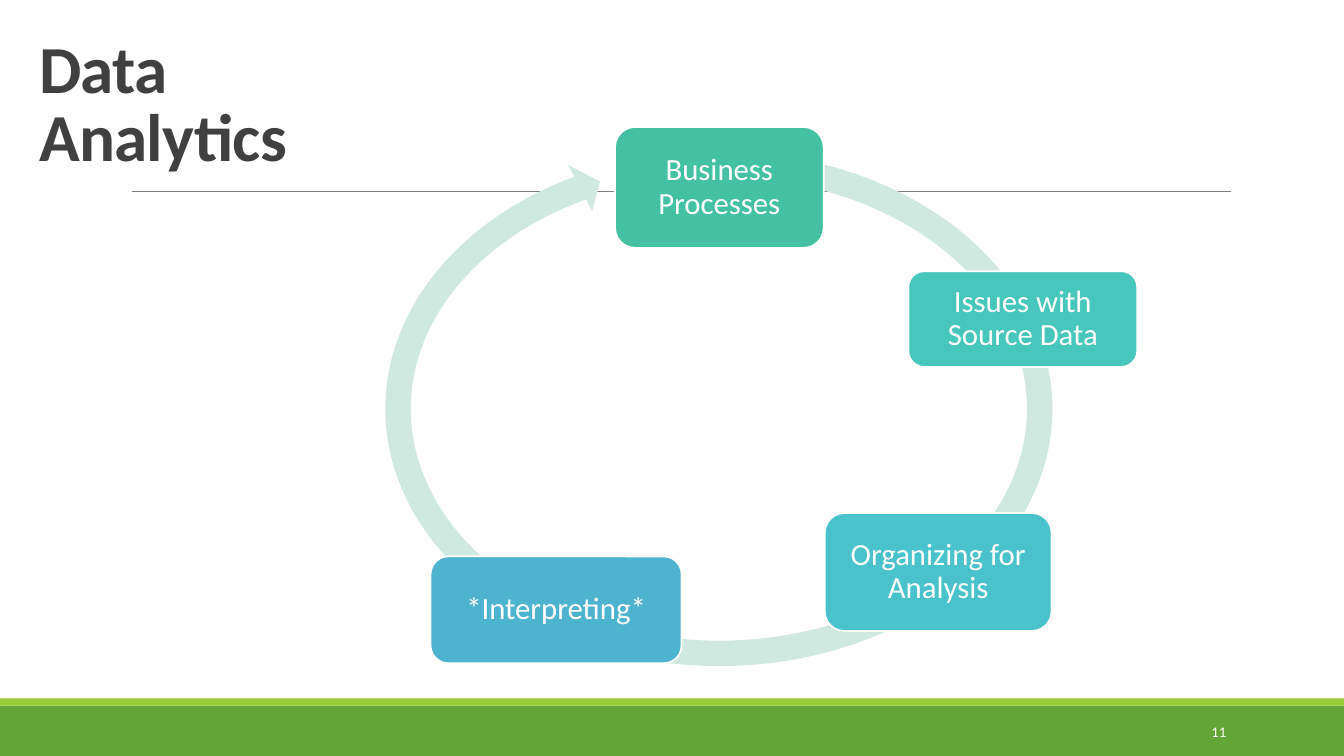
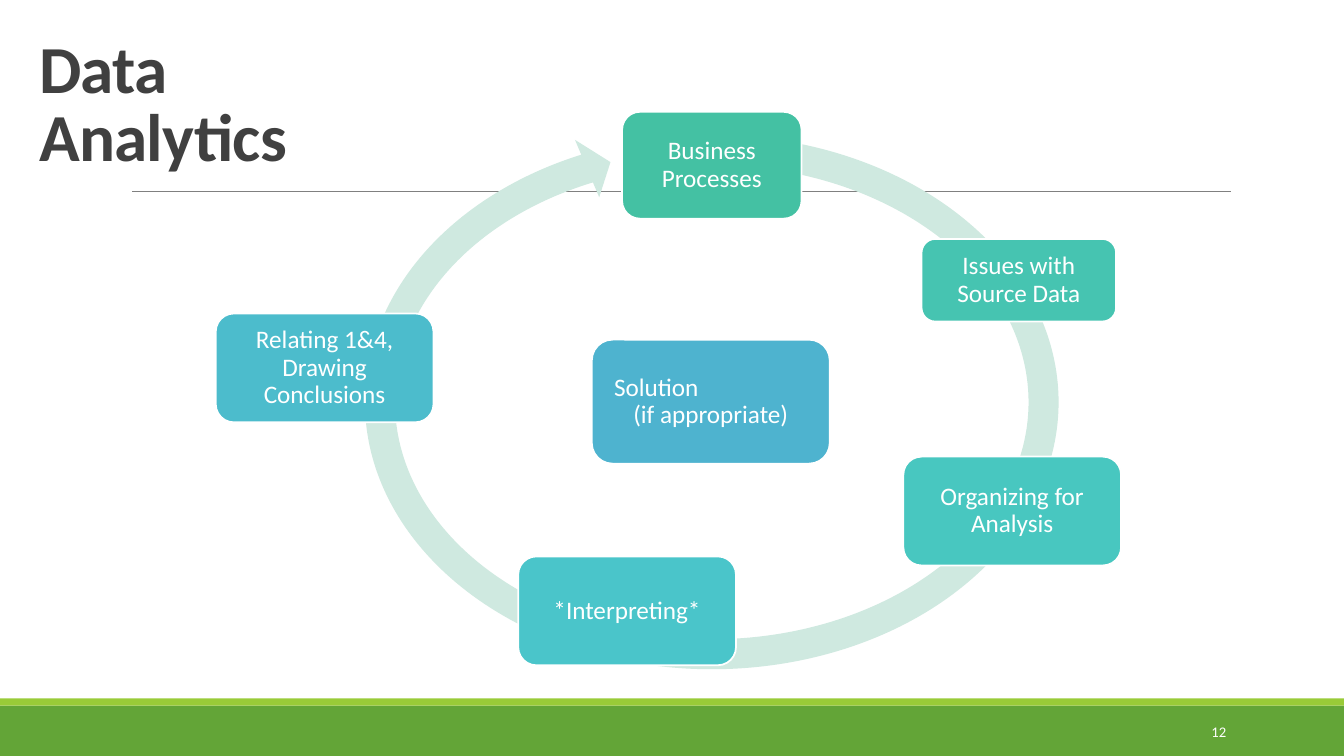
from pptx import Presentation
from pptx.dml.color import RGBColor
from pptx.enum.shapes import MSO_CONNECTOR, MSO_SHAPE
from pptx.enum.text import MSO_ANCHOR, PP_ALIGN
from pptx.oxml.ns import qn
from pptx.util import Inches, Pt

RECTANGLE = MSO_SHAPE.RECTANGLE
ROUNDED = MSO_SHAPE.ROUNDED_RECTANGLE
CIRCULAR_ARROW = MSO_SHAPE.CIRCULAR_ARROW
STRAIGHT = MSO_CONNECTOR.STRAIGHT
LEFT, CENTER, RIGHT = PP_ALIGN.LEFT, PP_ALIGN.CENTER, PP_ALIGN.RIGHT
MIDDLE, BOTTOM = MSO_ANCHOR.MIDDLE, MSO_ANCHOR.BOTTOM

FONT = "Calibri"
COLORS = {
    "white": "FFFFFF",
    "title": "404040",
    "rule": "808080",
    "footer": "63A537",
    "footer_edge": "99CB38",
    "ring": "CFE9E0",
}
FIRST_NUMBER = 11

# Each step: text, (left, top, width, height), fill
CYCLES = [
    {
        "ring": (3.69, 1.37, 6.88, 5.37),
        "ring_shape": (0.047, 2.729, 142.707, 171.254, 0.048),
        "size": 22,
        "inset": 0.09,
        "steps": [
            ("Business Processes", (6.1, 1.26, 2.07, 1.2), "44C1A3"),
            ("Issues with Source Data", (9.01, 2.69, 2.27, 0.95), "47C6BB"),
            ("Organizing for Analysis", (8.18, 5.09, 2.25, 1.17), "4AC2CB"),
            ("*Interpreting*", (4.27, 5.52, 2.49, 1.06), "4EB3CF"),
        ],
    },
    {
        "ring": (3.46, 1.18, 7.2, 5.62),
        "ring_shape": (0.053, 3.126, 145.153, 169.608, 0.055),
        "size": 18,
        "inset": 0.07,
        "steps": [
            ("Business Processes", (6.17, 1.11, 1.78, 1.06), "44C1A3"),
            ("Issues with Source Data", (9.14, 2.37, 1.93, 0.82), "46C4B1"),
            ("Organizing for Analysis", (8.96, 4.53, 2.16, 1.08), "48C7C0"),
            ("*Interpreting*", (5.14, 5.52, 2.16, 1.08), "4AC5CA"),
            ("Relating 1&4, Drawing Conclusions", (2.14, 3.11, 2.16, 1.08), "4CBCCC"),
            ("Solution\n(if appropriate)", (5.87, 3.37, 2.36, 1.23), "4EB3CF"),
        ],
    },
]


def add_filled(page, kind, place, fill):
    shape = page.shapes.add_shape(kind, *map(Inches, place))
    shape.shadow.inherit = False
    shape.fill.solid()
    shape.fill.fore_color.rgb = RGBColor.from_string(fill)
    shape.line.fill.background()
    return shape


def write(shape, text, size, color, align, anchor, spacing=1.0):
    frame = shape.text_frame
    frame.word_wrap = True
    frame.vertical_anchor = anchor
    frame.text = text
    for para in frame.paragraphs:
        para.alignment = align
        para.line_spacing = spacing
        for span in para.runs:
            span.font.name = FONT
            span.font.size = Pt(size)
            span.font.color.rgb = RGBColor.from_string(color)
    return frame


deck = Presentation()
deck.slide_width, deck.slide_height = Inches(13.33), Inches(7.5)
blank = deck.slide_layouts[6]

for number, cycle in enumerate(CYCLES, FIRST_NUMBER):
    page = deck.slides.add_slide(blank)

    # Frame shared by all slides
    add_filled(page, RECTANGLE, (0, 7, 13.33, 0.5), COLORS["footer"])
    add_filled(page, RECTANGLE, (0, 6.93, 13.33, 0.07), COLORS["footer_edge"])
    rule = page.shapes.add_connector(
        STRAIGHT, Inches(1.31), Inches(1.9), Inches(12.21), Inches(1.9))
    rule.line.color.rgb = RGBColor.from_string(COLORS["rule"])
    rule.line.width = Pt(0.5)
    properties = rule._element.spPr
    properties.append(properties.makeelement(qn("a:effectLst"), {}))

    title_box = page.shapes.add_textbox(*map(Inches, (0.29, 0.2, 4.02, 1.59)))
    title = write(title_box, "Data Analytics", 48, COLORS["title"], LEFT, BOTTOM, 0.85)
    title_font = title.paragraphs[0].runs[0].font
    title_font.bold = True
    title_font._element.set("spc", "-50")

    number_box = page.shapes.add_textbox(*map(Inches, (10.83, 7.06, 1.43, 0.4)))
    write(number_box, str(number), 10.5, COLORS["white"], RIGHT, MIDDLE)

    # Cycle diagram
    ring = add_filled(page, CIRCULAR_ARROW, cycle["ring"], COLORS["ring"])
    for index, value in enumerate(cycle["ring_shape"]):
        ring.adjustments[index] = value

    for text, place, fill in cycle["steps"]:
        step = add_filled(page, ROUNDED, place, fill)
        step.line.color.rgb = RGBColor.from_string(COLORS["white"])
        step.line.width = Pt(1.25)
        frame = write(step, text, cycle["size"], COLORS["white"], CENTER, MIDDLE, 0.9)
        frame.margin_left = frame.margin_right = Inches(cycle["inset"])
        frame.margin_top = frame.margin_bottom = Inches(cycle["inset"])
        if len(frame.paragraphs) > 1:
            heading = frame.paragraphs[0]
            heading.alignment = LEFT
            heading._p.get_or_add_pPr().set("marL", str(Inches(0.09)))

deck.save("out.pptx")
